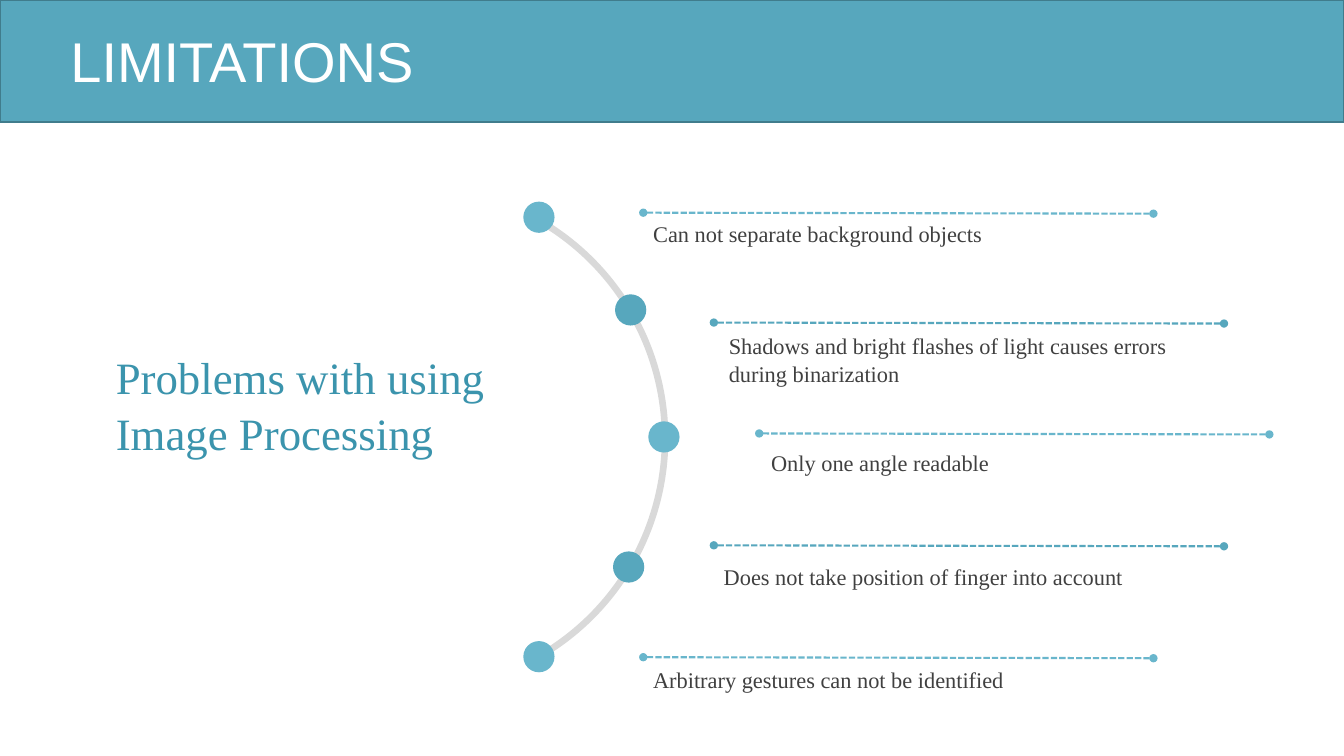
"""Build the slide on the limitations of image processing."""
from dataclasses import dataclass

from lxml import etree
from pptx import Presentation
from pptx.dml.color import RGBColor
from pptx.enum import dml, shapes, text
from pptx.oxml import ns
from pptx.util import Inches, Pt

WHITE = RGBColor(0xFF, 0xFF, 0xFF)
TEAL = RGBColor(0x57, 0xA7, 0xBD)
LIGHT_TEAL = RGBColor(0x69, 0xB6, 0xCC)
DARK_TEAL = RGBColor(0x3B, 0x94, 0xAD)
BAND_EDGE = RGBColor(0x40, 0x7C, 0x8C)
ARC_GREY = RGBColor(0xD9, 0xD9, 0xD9)
TEXT_GREY = RGBColor(0x40, 0x40, 0x40)
SERIF = "Times New Roman"
DOT_SIZE = 0.31
RULE_LENGTH = 5.06
RULE_DROP = 0.01


@dataclass(frozen=True)
class Limitation:
    wording: str
    dot: tuple[float, float]
    rule: tuple[float, float]
    label: tuple[float, float]
    color: RGBColor
    height: float = 0.37


LIMITATIONS = [
    Limitation("Can not separate background objects",
               (5.19, 2), (6.38, 2.11), (6.38, 2.12), LIGHT_TEAL),
    Limitation("Shadows and bright flashes of light causes errors during binarization",
               (6.1, 2.92), (7.08, 3.2), (7.13, 3.23), TEAL, 0.64),
    Limitation("Only one angle readable",
               (6.43, 4.18), (7.53, 4.3), (7.55, 4.39), LIGHT_TEAL),
    Limitation("Does not take position of finger into account",
               (6.08, 5.47), (7.08, 5.41), (7.08, 5.52), TEAL),
    Limitation("Arbitrary gestures can not be identified",
               (5.19, 6.36), (6.38, 6.52), (6.38, 6.55), LIGHT_TEAL),
]


def add_solid(slide, kind, left: float, top: float, width: float, height: float,
              color: RGBColor):
    """Add a filled preset shape without outline or shadow."""
    solid = slide.shapes.add_shape(
        kind, Inches(left), Inches(top), Inches(width), Inches(height))
    solid.shadow.inherit = False
    solid.fill.solid()
    solid.fill.fore_color.rgb = color
    solid.line.fill.background()
    return solid


def add_words(slide, wording: str, left: float, top: float, width: float, height: float,
              color: RGBColor, size: float, name: str = SERIF, spacing: float = 1.05,
              anchor=text.MSO_ANCHOR.TOP) -> None:
    """Add one wrapped paragraph of text."""
    frame = slide.shapes.add_textbox(
        Inches(left), Inches(top), Inches(width), Inches(height)).text_frame
    frame.word_wrap = True
    frame.vertical_anchor = anchor
    paragraph = frame.paragraphs[0]
    paragraph.line_spacing = spacing
    run = paragraph.add_run()
    run.text = wording
    for attribute, value in {"name": name, "size": Pt(size)}.items():
        setattr(run.font, attribute, value)
    run.font.color.rgb = color


def add_rule(slide, left: float, top: float, color: RGBColor) -> None:
    """Add a dashed rule with a round end on each side."""
    rule = slide.shapes.add_connector(
        shapes.MSO_CONNECTOR.STRAIGHT, Inches(left), Inches(top),
        Inches(left + RULE_LENGTH), Inches(top + RULE_DROP))
    rule.line.color.rgb = color
    line_format = {"width": Pt(1.5), "dash_style": dml.MSO_LINE.SQUARE_DOT}
    for attribute, value in line_format.items():
        setattr(rule.line, attribute, value)
    outline = rule.line._get_or_add_ln()
    for end in ("a:headEnd", "a:tailEnd"):
        etree.SubElement(outline, ns.qn(end), type="oval")
    etree.SubElement(rule._element.spPr, ns.qn("a:effectLst"))


def main() -> None:
    """Draw the slide and save it."""
    deck = Presentation()
    deck.slide_width, deck.slide_height = Inches(13.33), Inches(7.5)
    slide = deck.slides.add_slide(deck.slide_layouts[6])

    band = add_solid(slide, shapes.MSO_SHAPE.RECTANGLE, 0, 0, 13.33, 1.21, TEAL)
    band.line.color.rgb = BAND_EDGE
    band.line.width = Pt(1)
    add_words(slide, "LIMITATIONS", 0.6, 0.24, 12.41, 0.79, WHITE, 40,
              "Arial", 0.9, text.MSO_ANCHOR.MIDDLE)

    arc = add_solid(slide, shapes.MSO_SHAPE.BLOCK_ARC, 1.57, 1.82, 5.06, 5.06, ARC_GREY)
    for index, value in enumerate((179.95, 36.31, 0.013)):
        arc.adjustments[index] = value

    for item in LIMITATIONS:
        add_solid(slide, shapes.MSO_SHAPE.OVAL, *item.dot, DOT_SIZE, DOT_SIZE, item.color)
        add_words(slide, item.wording, *item.label, RULE_LENGTH, item.height, TEXT_GREY, 16)
        add_rule(slide, *item.rule, item.color)

    add_words(slide, "Problems with using Image Processing",
              1.05, 3.39, 4.14, 1.18, DARK_TEAL, 32)
    deck.save("out.pptx")


if __name__ == "__main__":
    main()
